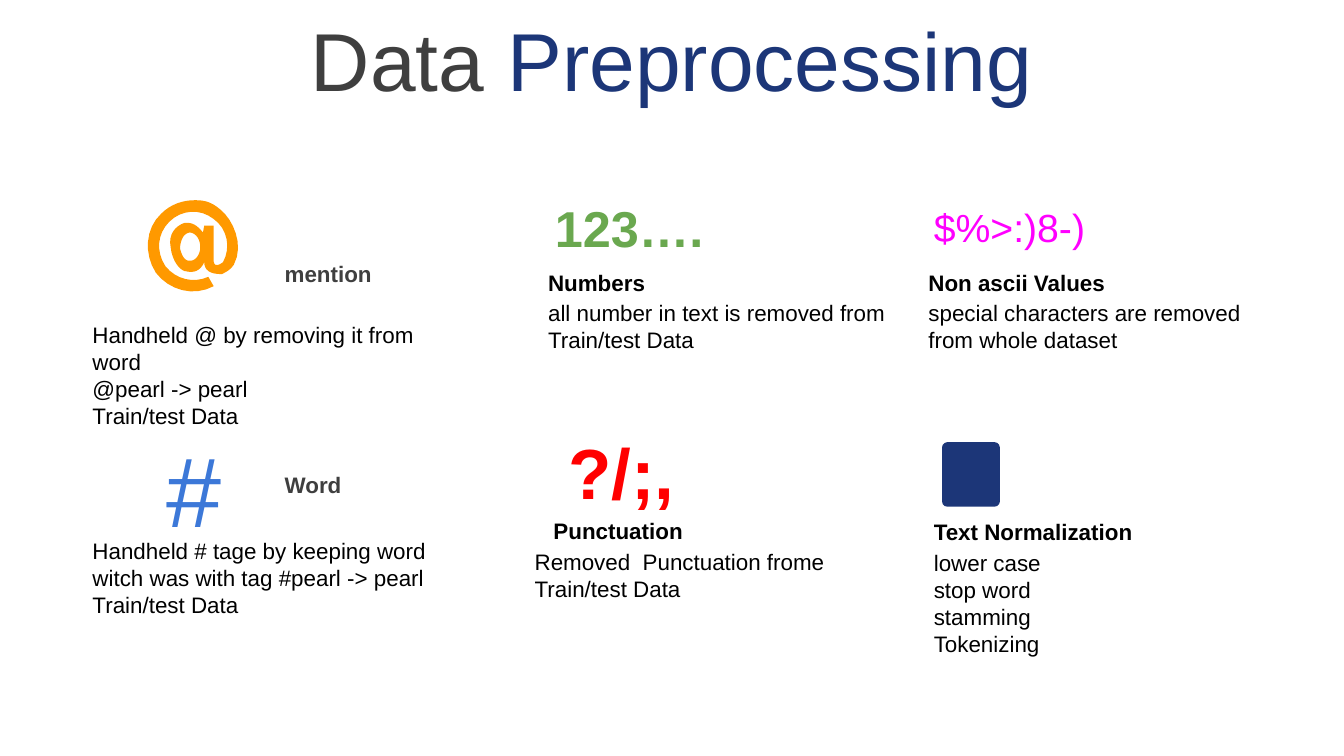
from dataclasses import dataclass

from pptx import Presentation
from pptx.dml.color import RGBColor
from pptx.enum.shapes import MSO_SHAPE
from pptx.enum.text import MSO_ANCHOR, MSO_AUTO_SIZE, PP_ALIGN
from pptx.util import Inches, Pt

ROUNDED = MSO_SHAPE.ROUNDED_RECTANGLE
TOP, MIDDLE = MSO_ANCHOR.TOP, MSO_ANCHOR.MIDDLE
GROW, FIXED = MSO_AUTO_SIZE.SHAPE_TO_FIT_TEXT, MSO_AUTO_SIZE.NONE
CENTER = PP_ALIGN.CENTER


@dataclass(frozen=True)
class Theme:
    """Font, colours and type sizes of the slide."""
    font: str = "Arial"
    ink: str = "000000"
    gray: str = "3F3F3F"
    navy: str = "1C3678"
    orange: str = "FF9900"
    blue: str = "3C78D8"
    red: str = "FF0000"
    green: str = "6AA84F"
    magenta: str = "FF00FF"
    title: int = 44
    body: int = 12


THEME = Theme()

TAG_CARDS = [
    ("mention", 1.8, 2.34,
     ["Handheld @ by removing it from word", "@pearl -> pearl", "Train/test Data"]),
    ("Word", 3.37, 3.95,
     ["Handheld # tage by keeping word witch was with tag #pearl -> pearl",
      "Train/test Data"]),
]

TOPIC_CARDS = [
    ("Numbers", 3.98, 1.95, 3.98,
     ["all number in text is removed from", "Train/test Data"]),
    ("Punctuation", 4.02, 3.8, 3.88,
     ["Removed  Punctuation frome", "Train/test Data"]),
    ("Non ascii Values", 6.81, 1.95, 6.81,
     ["special characters are removed", "from whole dataset"]),
    ("Text Normalization", 6.85, 3.81, 6.85,
     ["lower case", "stop word", "stamming", "Tokenizing"]),
]

SYMBOLS = [
    ("#", (1.14, 3.09, 0.63, 0.3), 53, THEME.blue, False),
    ("?/;,", (4.13, 3.09, 1.48, 0.3), 38, THEME.red, True),
    ("123….", (4.03, 1.37, 1.48, 0.58), 27, THEME.green, True),
    ("$%>:)8-)", (6.85, 1.41, 1.4, 0.5), 21, THEME.magenta, False),
]

AT_OUTER = [
    [(1.45, 1.49)],
    [(1.52, 1.49), (1.57, 1.5), (1.64, 1.56)],
    [(1.73, 1.63), (1.82, 1.82), (1.74, 1.97)],
    [(1.71, 2.01), (1.69, 2.02), (1.65, 2.04)],
    [(1.56, 2.04), (1.52, 2.01), (1.52, 1.95)],
    [(1.49, 2.02), (1.44, 2.03), (1.39, 2.02)],
    [(1.34, 2.02), (1.28, 1.94), (1.27, 1.84)],
    [(1.25, 1.74), (1.31, 1.68), (1.37, 1.66)],
    [(1.43, 1.65), (1.47, 1.68), (1.51, 1.73)],
    [(1.52, 1.68)],
    [(1.59, 1.68)],
    [(1.59, 1.77), (1.59, 1.83), (1.59, 1.92)],
    [(1.58, 2.01), (1.65, 1.96), (1.66, 1.95)],
    [(1.72, 1.84), (1.69, 1.7), (1.59, 1.63)],
    [(1.49, 1.55), (1.35, 1.56), (1.26, 1.65)],
    [(1.17, 1.74), (1.16, 1.87), (1.23, 1.98)],
    [(1.31, 2.08), (1.44, 2.11), (1.55, 2.06)],
    [(1.59, 2.13)],
    [(1.44, 2.21), (1.26, 2.16), (1.16, 2.03)],
    [(1.07, 1.89), (1.08, 1.7), (1.2, 1.59)],
    [(1.27, 1.52), (1.36, 1.49), (1.45, 1.49)],
]
AT_INNER = [
    [(1.41, 1.73)],
    [(1.35, 1.74), (1.34, 1.82), (1.34, 1.85)],
    [(1.35, 1.89), (1.37, 1.95), (1.42, 1.94)],
    [(1.45, 1.94), (1.49, 1.9), (1.49, 1.84)],
    [(1.49, 1.76), (1.44, 1.73), (1.41, 1.73)],
]


def style_span(span, size, color, bold=False):
    """Set the font of one run."""
    span.font.name = THEME.font
    span.font.size = Pt(size)
    span.font.bold = bold
    span.font.color.rgb = RGBColor.from_string(color)


def add_text(page, lines, place, size=THEME.body, color=THEME.ink, bold=False,
             anchor=TOP, inset=0.05, fit=GROW):
    """Add a wrapped text box with one paragraph per line."""
    box = page.shapes.add_textbox(*map(Inches, place))
    frame = box.text_frame
    frame.word_wrap = True
    frame.auto_size = fit
    frame.vertical_anchor = anchor
    frame.margin_top = frame.margin_bottom = Inches(inset)
    frame.text = "\n".join(lines)
    for para in frame.paragraphs:
        for span in para.runs:
            style_span(span, size, color, bold)
    return box


def add_title(page):
    """Add the centred title in two colours."""
    box = add_text(page, ["Data "], (0, 0, 10, 0.97), THEME.title, THEME.gray,
                   anchor=MIDDLE, fit=FIXED)
    para = box.text_frame.paragraphs[0]
    para.alignment = CENTER
    para.line_spacing = 0.9
    span = para.add_run()
    span.text = "Preprocessing"
    style_span(span, THEME.title, THEME.navy)


def add_tag_card(page, label, label_top, body_top, lines):
    """Add a label beside a symbol and the text below it."""
    add_text(page, lines, (0.59, body_top, 2.76, 0.5))
    add_text(page, [label], (2.02, label_top, 1.33, 0.47), color=THEME.gray,
             bold=True, anchor=MIDDLE, inset=0)


def add_topic_card(page, heading, left, top, body_left, lines):
    """Add a bold heading with its text just below."""
    add_text(page, lines, (body_left, top + 0.23, 2.87, 0.71))
    add_text(page, [heading], (left, top, 2.87, 0.3), bold=True)


def trace(segments, steps=8):
    """Turn lines and cubic curves into a list of points."""
    points = [segments[0][0]]
    for segment in segments[1:]:
        if len(segment) == 1:
            points.append(segment[0])
            continue
        corners = [points[-1], *segment]
        for step in range(1, steps + 1):
            t = step / steps
            weights = ((1 - t) ** 3, 3 * t * (1 - t) ** 2, 3 * t ** 2 * (1 - t), t ** 3)
            points.append(tuple(sum(w * corner[axis] for w, corner in zip(weights, corners))
                                for axis in (0, 1)))
    return [(Inches(x), Inches(y)) for x, y in points]


def paint(shape, color):
    """Give a shape a flat fill without line or shadow."""
    shape.shadow.inherit = False
    shape.fill.solid()
    shape.fill.fore_color.rgb = RGBColor.from_string(color)
    shape.line.fill.background()


def add_at_sign(page):
    """Draw the at sign as an outline with a hole."""
    outer, inner = trace(AT_OUTER), trace(AT_INNER)
    builder = page.shapes.build_freeform(*outer[0])
    builder.add_line_segments(outer[1:], close=True)
    builder.move_to(*inner[0])
    builder.add_line_segments(inner[1:], close=True)
    paint(builder.convert_to_shape(), THEME.orange)


def add_badge(page):
    """Add the plain rounded badge above the normalization card."""
    badge = page.shapes.add_shape(ROUNDED, *map(Inches, (7.01, 3.29, 0.43, 0.48)))
    badge.adjustments[0] = 0.09
    paint(badge, THEME.navy)


def main():
    """Build the slide and save the deck."""
    deck = Presentation()
    deck.slide_width = Inches(10)
    deck.slide_height = Inches(10) * 9 // 16
    page = deck.slides.add_slide(deck.slide_layouts[6])
    add_title(page)
    for card in TAG_CARDS:
        add_tag_card(page, *card)
    for card in TOPIC_CARDS:
        add_topic_card(page, *card)
    add_at_sign(page)
    for symbol, place, size, color, bold in SYMBOLS:
        add_text(page, [symbol], place, size, color, bold, inset=0.1, fit=FIXED)
    add_badge(page)
    deck.save("out.pptx")


if __name__ == "__main__":
    main()
